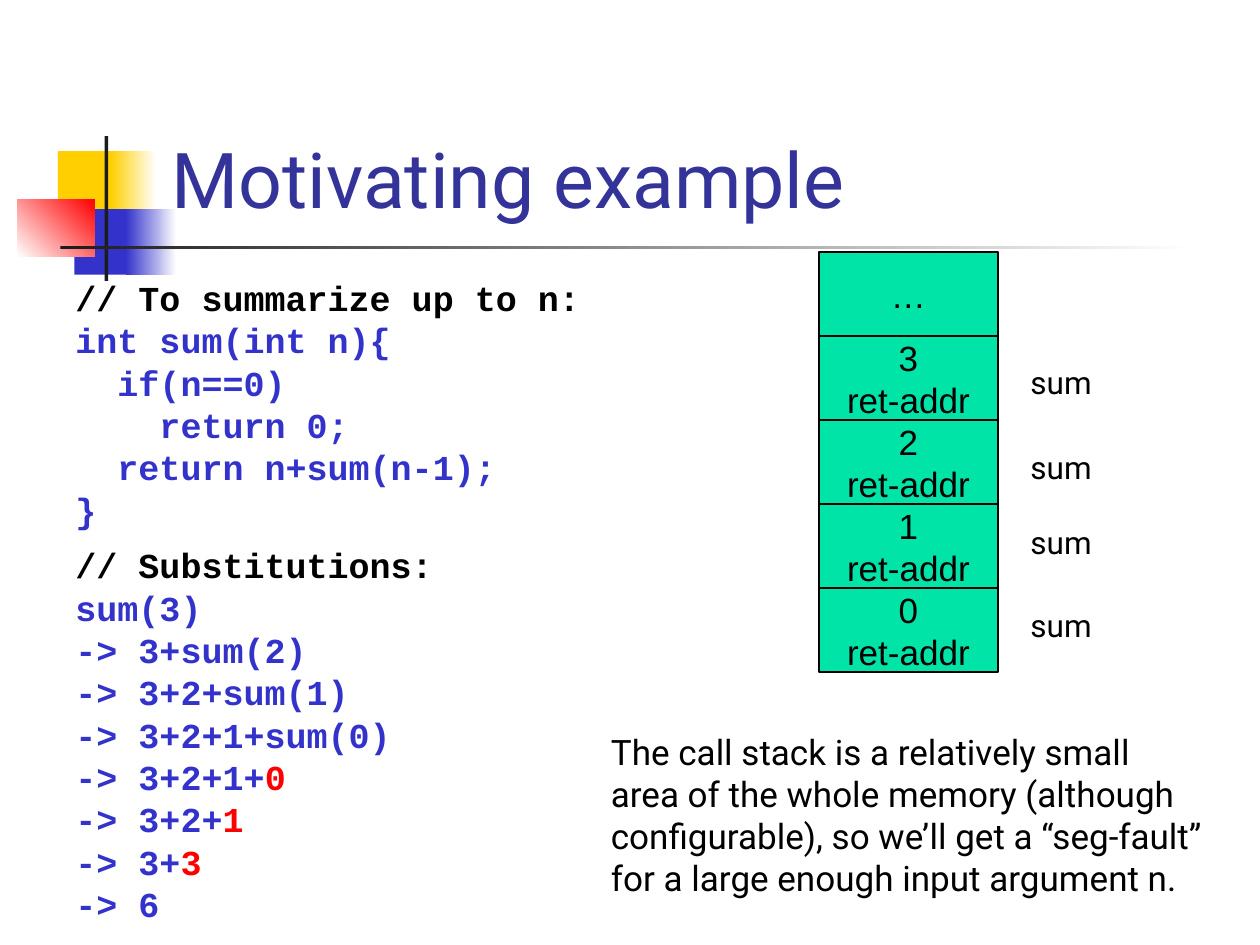
"""Build the slide on a recursive sum and its call stack."""
from pptx import Presentation
from pptx.dml.color import RGBColor
from pptx.enum.shapes import MSO_SHAPE
from pptx.enum.text import MSO_ANCHOR, MSO_AUTO_SIZE, PP_ALIGN
from pptx.util import Inches, Pt

RECT = MSO_SHAPE.RECTANGLE
LEFT, CENTER = PP_ALIGN.LEFT, PP_ALIGN.CENTER
MIDDLE, BOTTOM = MSO_ANCHOR.MIDDLE, MSO_ANCHOR.BOTTOM
NO_FIT, GROW = MSO_AUTO_SIZE.NONE, MSO_AUTO_SIZE.SHAPE_TO_FIT_TEXT
BLACK = RGBColor(0, 0, 0)
WHITE = RGBColor(0xFF, 0xFF, 0xFF)
GOLD = RGBColor(0xFF, 0xCF, 0x01)
BLUE = RGBColor(0x33, 0x33, 0xCC)
NAVY = RGBColor(0x33, 0x33, 0x99)
RED = RGBColor(0xFF, 0, 0)
DARK = RGBColor(0x1C, 0x1C, 0x1C)
GREEN = RGBColor(0, 0xE4, 0xA8)


def add_run(para, text, face, size, color, bold=False):
    run = para.add_run()
    run.text = text
    font = run.font
    font.name, font.size, font.bold = face, Pt(size), bold
    font.color.rgb = color


def add_rect(x, y, w, h):
    box = slide.shapes.add_shape(RECT, Inches(x), Inches(y), Inches(w), Inches(h))
    box.shadow.inherit = False
    return box


prs = Presentation()
prs.slide_width, prs.slide_height = Inches(10), Inches(7.5)
slide = prs.slides.add_slide(prs.slide_layouts[5])

blocks = [
    (0.46, 1.2, 0.48, 0.52, GOLD, None, 0),
    (0.88, 1.2, 0.36, 0.52, GOLD, WHITE, 0),
    (0.59, 1.66, 0.46, 0.52, BLUE, None, 0),
    (1, 1.66, 0.4, 0.52, BLUE, WHITE, 0),
    (0.14, 1.58, 0.61, 0.46, WHITE, RED, 45),
    (0.83, 1.08, 0.03, 1.15, DARK, None, 0),
    (0.48, 1.95, 9, 0.03, DARK, WHITE, 0),
]
for x, y, w, h, start, end, angle in blocks:
    block = add_rect(x, y, w, h)
    block.line.fill.background()
    if end is None:
        block.fill.solid()
        block.fill.fore_color.rgb = start
    else:
        block.fill.gradient()
        block.fill.gradient_angle = angle
        for stop, color in zip(block.fill.gradient_stops, (start, end)):
            stop.color.rgb = color

title = slide.shapes.title
title.left, title.top = Inches(1.26), Inches(0.23)
title.width, title.height = Inches(8.52), Inches(1.6)
frame = title.text_frame
frame.vertical_anchor = BOTTOM
frame.auto_size = NO_FIT
frame.paragraphs[0].alignment = LEFT
add_run(frame.paragraphs[0], "Motivating example", "Roboto", 44, NAVY)

listings = [
    (2.21, 4.25, 2.13, [
        [("// To summarize up to n:", BLACK)],
        [("int sum(int n){", BLUE)],
        [("  if(n==0)", BLUE)],
        [("    return 0;", BLUE)],
        [("  return n+sum(n-1);", BLUE)],
        [("}", BLUE)],
    ]),
    (4.33, 3.58, 2.92, [
        [("// Substitutions:", BLACK)],
        [("sum(3)", BLUE)],
        [("-> 3+sum(2)", BLUE)],
        [("-> 3+2+sum(1)", BLUE)],
        [("-> 3+2+1+sum(0)", BLUE)],
        [("-> 3+2+1+", BLUE), ("0", RED)],
        [("-> 3+2+", BLUE), ("1", RED)],
        [("-> 3+", BLUE), ("3", RED)],
        [("-> 6", BLUE)],
    ]),
]
for y, w, h, lines in listings:
    code = slide.shapes.add_textbox(Inches(0.5), Inches(y), Inches(w), Inches(h))
    frame = code.text_frame
    frame.word_wrap = True
    for i, line in enumerate(lines):
        para = frame.add_paragraph() if i else frame.paragraphs[0]
        para.line_spacing = 0.8
        para.space_before = Pt(5 if i else 0)
        for text, color in line:
            add_run(para, text, "Courier New", 20, color, True)

stack = [["…"]] + [[str(n), "ret-addr"] for n in (3, 2, 1, 0)]
for row, lines in enumerate(stack):
    cell = add_rect(6.5, 2 + row * 2 / 3, 1.42, 2 / 3)
    cell.fill.solid()
    cell.fill.fore_color.rgb = GREEN
    cell.line.color.rgb = BLACK
    cell.line.width = Pt(0.75)
    frame = cell.text_frame
    frame.word_wrap = False
    frame.vertical_anchor = MIDDLE
    for i, text in enumerate(lines):
        para = frame.add_paragraph() if i else frame.paragraphs[0]
        para.alignment = CENTER
        add_run(para, text, "Arial", 20, BLACK)

note = (
    "The call stack is a relatively small area of the whole memory "
    "(although configurable), so we’ll get a “seg-fault” "
    "for a large enough input argument n."
)
labels = [(4.75, 5.75, 4.92, 1.45, note, 20)]
labels += [(8.08, y, 0.92, 0.4, "sum", 18) for y in (2.83, 3.51, 4.1, 4.76)]
for x, y, w, h, text, size in labels:
    label = slide.shapes.add_textbox(Inches(x), Inches(y), Inches(w), Inches(h))
    frame = label.text_frame
    frame.word_wrap = True
    frame.auto_size = GROW
    add_run(frame.paragraphs[0], text, "Roboto", size, BLACK)

prs.save("out.pptx")
